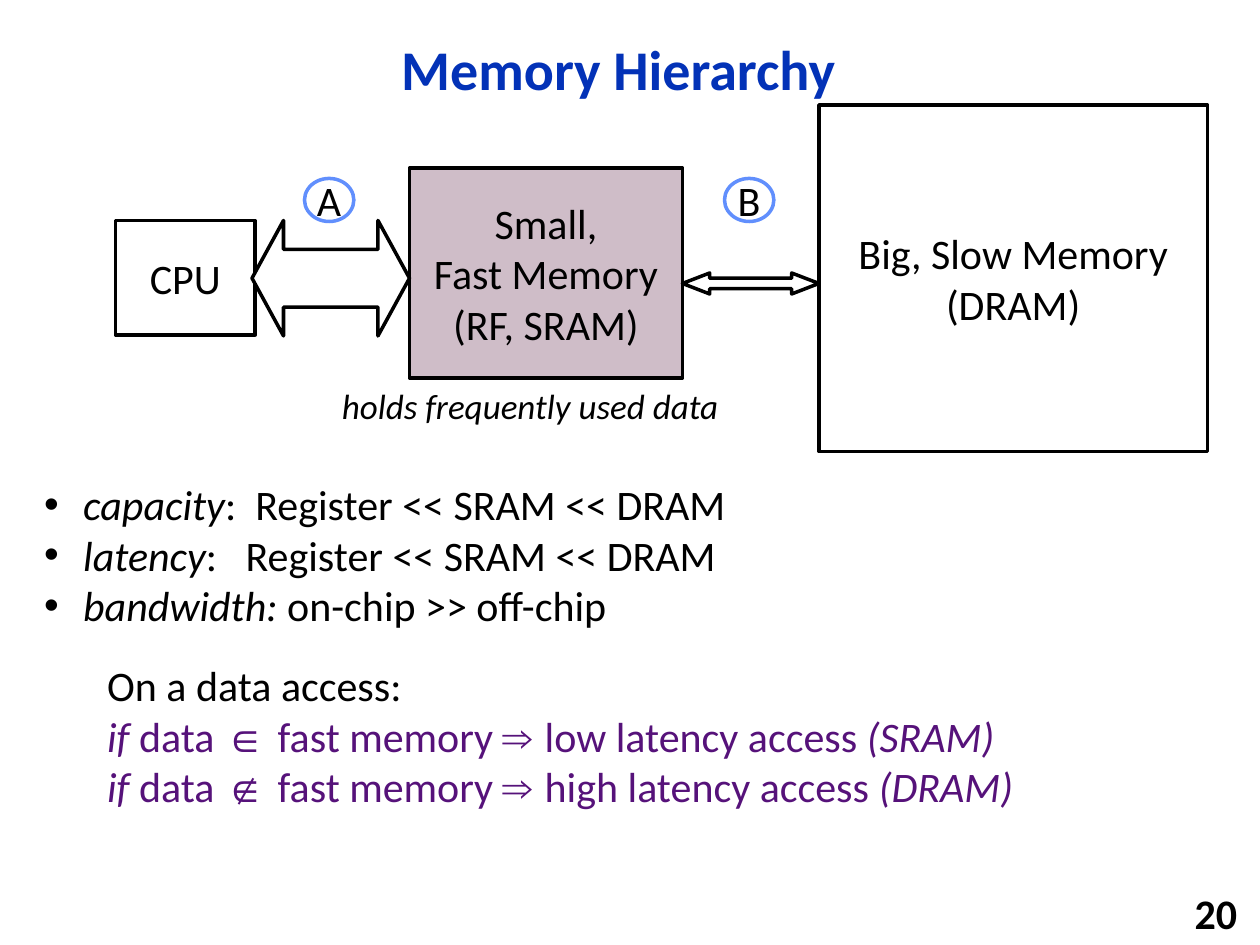
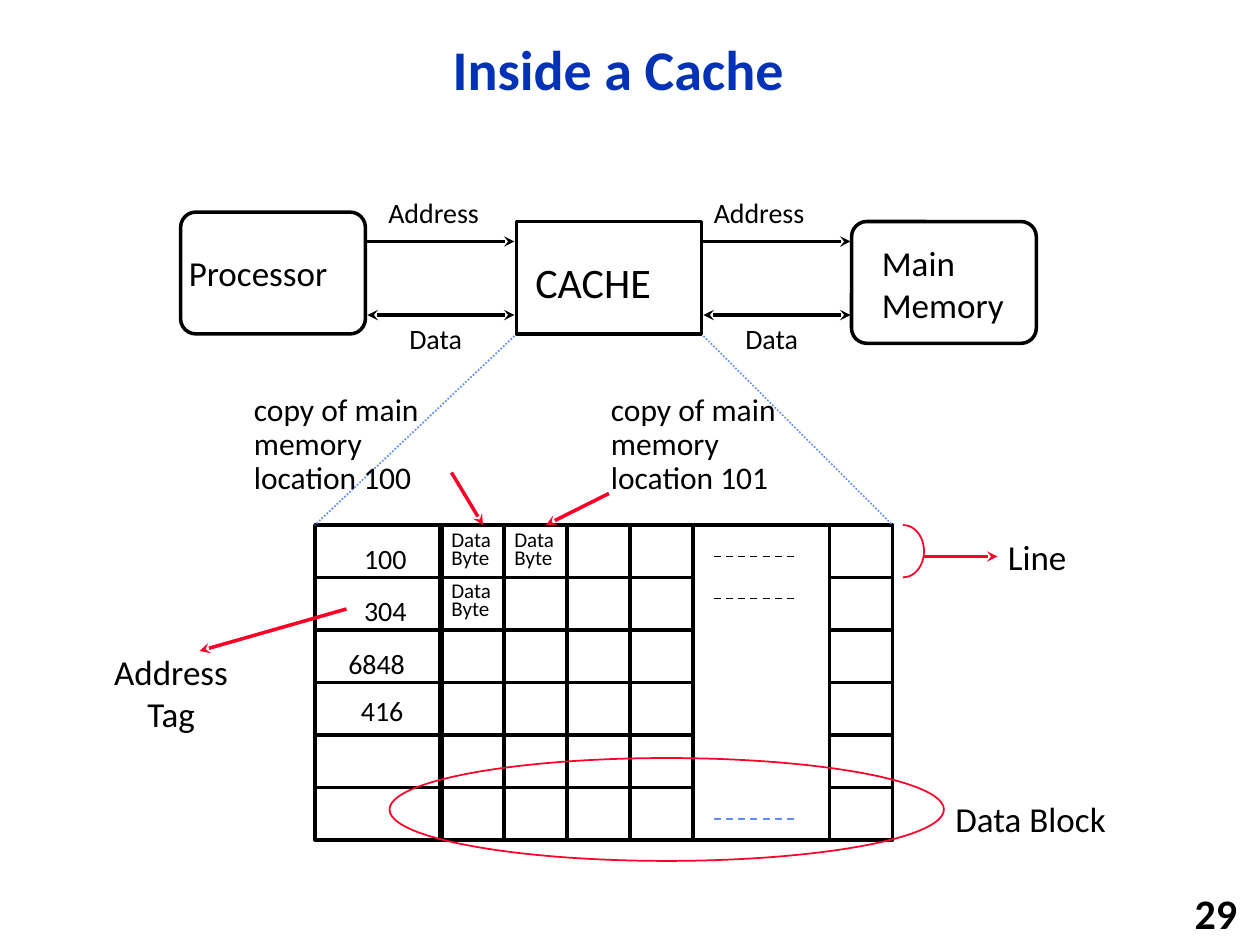
from lxml.etree import SubElement
from pptx import Presentation
from pptx.dml.color import RGBColor
from pptx.enum.dml import MSO_LINE as Dash
from pptx.enum.shapes import MSO_CONNECTOR as Link, MSO_SHAPE as Form
from pptx.enum.text import MSO_ANCHOR as Anchor, MSO_AUTO_SIZE as Fit, PP_ALIGN as Align
from pptx.oxml.ns import qn
from pptx.util import Inches, Pt

BLACK = RGBColor(0x00, 0x00, 0x00)
WHITE = RGBColor(0xFF, 0xFF, 0xFF)
TITLE_BLUE = RGBColor(0x03, 0x32, 0xB7)
LIGHT_BLUE = RGBColor(0x61, 0x8F, 0xFD)
MAUVE = RGBColor(0xCF, 0xBD, 0xC8)
PURPLE = RGBColor(0x56, 0x12, 0x7A)
RED = RGBColor(0xFC, 0x01, 0x28)
FONT = "Calibri"
SYMBOL_FONT = "Arial"

UNITS_PER_INCH = 12
PAGE_WIDTH, PAGE_HEIGHT = 120, 90
TITLE_AREA = (11, 2, 95.8, 9.7)
NUMBER_AREA = (94, 85, 25, 3.8)
BODY_AREA = (3, 45, 115, 33)

MEMORY_BOXES = [
    (Form.RECTANGLE, (39, 16, 26, 20), MAUVE, BLACK, "Small,\nFast Memory\n(RF, SRAM)", True),
    (Form.RECTANGLE, (11, 21, 13.3, 10.9), WHITE, BLACK, "CPU", False),
    (Form.RECTANGLE, (78, 10, 37, 33), WHITE, BLACK, "Big, Slow Memory\n(DRAM)", True),
    (Form.OVAL, (29, 17, 4.7, 4.1), WHITE, LIGHT_BLUE, "A", False),
    (Form.OVAL, (69, 17, 4.7, 4.1), WHITE, LIGHT_BLUE, "B", False),
]
BUS_ARROWS = [((65, 26, 13, 2), 1.3), ((24, 21, 15, 11), 0.273)]
PROPERTIES = [
    ("capacity", ":", 5.4, " Register << SRAM << DRAM"),
    ("latency", ":", 10.8, " Register << SRAM << DRAM"),
    ("bandwidth:", "", 0, " on-chip >> off-chip"),
]
ACCESS_INTRO = "On a data access:"
ACCESS_CASES = [("∈", "low", "(SRAM)"), ("∉", "high", "(DRAM)")]

UNIT_BOXES = [
    (Form.ROUNDED_RECTANGLE, (81.1, 21.1, 17.6, 11.6)),
    (Form.ROUNDED_RECTANGLE, (17.2, 20.2, 17.6, 11.6)),
    (Form.RECTANGLE, (49.2, 21.1, 17.6, 10.7)),
]
BUS_SPANS = [(35, 49), (67, 81)]
ADDRESS_Y, DATA_Y = 23, 30
POINTERS = [(33, 58, 19, 62), (43, 45, 46, 50), (58, 47, 52, 50), (88, 53, 95, 53)]
ZOOM_LINES = [(49, 32, 30, 50), (67, 32, 85, 50)]
GRID_LEFT, GRID_TOP, GRID_RIGHT = 30, 50, 85
ROW_HEIGHT, ROW_COUNT = 5, 6
GAP_LEFT, GAP_RIGHT = 66, 79
TAG_EDGE = 42
COLUMN_EDGES = [TAG_EDGE, 48, 54, 60, GAP_LEFT, GAP_RIGHT]
ELLIPSES = [(53, BLACK), (57, BLACK), (78, LIGHT_BLUE)]
BLOCK_OVAL = (37.1, 72.2, 52.8, 9.8)
LINE_ARC = (84, 50, 4, 5)

LABELS = [
    (24, 1, [("CACHE", 49.8, 23.8, 13.6)]),
    (20, 1, [
        ("Processor", 16.8, 23.4, 15.8),
        ("Main\nMemory", 82.8, 22.4, 14.3),
        ("Data Block", 89.8, 75.4, 16.9),
        ("Line", 94.8, 50.4, 8),
    ]),
    (18, 0.9, [
        ("copy of main\nmemory\nlocation 100", 23, 37, 18.4),
        ("copy of main\nmemory\nlocation 101", 57, 37, 18.4),
    ]),
    (16, 1, [
        ("Address", 35.8, 18, 11.2),
        ("Address", 66.8, 18, 11.2),
        ("Data", 37.8, 30, 7.6),
        ("Data", 69.8, 30, 7.6),
        ("100", 33.5, 51, 6.5),
        ("304", 33.5, 55.9, 6.5),
        ("6848", 32, 61, 7.9),
        ("416", 33.2, 65.5, 6.5),
    ]),
    (12, 0.7, [
        ("Data\nByte", 41.8, 50.2, 6.4),
        ("Data\nByte", 47.8, 50.2, 6.4),
        ("Data\nByte", 41.8, 55.1, 6.4),
    ]),
]
TAG_LABEL = ("Address\nTag", 9.7, 61.4, 13.2)


def units(*values):
    return [Inches(value / UNITS_PER_INCH) for value in values]


def add_span(para, text, size, color=BLACK, bold=False, italic=False, font=FONT, spacing=0):
    span = para.add_run()
    span.text = text
    span.font.name = font
    span.font.size = Pt(size)
    span.font.bold = bold
    span.font.italic = italic
    span.font.color.rgb = color
    if spacing:
        span._r.get_or_add_rPr().set("spc", str(round(spacing * 100)))


def add_lines(frame, text, size, align=Align.LEFT, spacing=1, **style):
    for index, line in enumerate(text.split("\n")):
        para = frame.add_paragraph() if index else frame.paragraphs[0]
        para.alignment = align
        para.line_spacing = spacing
        add_span(para, line, size, **style)


def place(shape, area):
    shape.left, shape.top, shape.width, shape.height = units(*area)


def add_text(page, area, text, size, wrap=False, anchor=Anchor.TOP, **style):
    frame = page.shapes.add_textbox(*units(*area)).text_frame
    frame.word_wrap = wrap
    frame.vertical_anchor = anchor
    add_lines(frame, text, size, **style)


def add_label(page, text, left, top, width, size, **style):
    lines = text.count("\n") + 1
    height = UNITS_PER_INCH * (0.1 + lines * size * 1.22 * style.get("spacing", 1) / 72)
    add_text(page, (left, top, width, height), text, size, **style)


def add_form(page, form, area, fill=WHITE, line=BLACK, weight=2):
    shape = page.shapes.add_shape(form, *units(*area))
    shape.shadow.inherit = False
    if fill is None:
        shape.fill.background()
    else:
        shape.fill.solid()
        shape.fill.fore_color.rgb = fill
    shape.line.color.rgb = line
    shape.line.width = Pt(weight)
    return shape


def add_line(page, ends, color=BLACK, weight=2, dash=None, heads=()):
    link = page.shapes.add_connector(Link.STRAIGHT, *units(*ends))
    link.line.color.rgb = color
    link.line.width = Pt(weight)
    if dash is not None:
        link.line.dash_style = dash
    properties = link._element.spPr
    for head in heads:
        SubElement(properties.find(qn("a:ln")), qn(head), type="stealth")
    SubElement(properties, qn("a:effectLst"))


def start_page(deck, layout, title, number):
    page = deck.slides.add_slide(deck.slide_layouts[layout])
    heading = page.shapes.title
    place(heading, TITLE_AREA)
    heading.text_frame.auto_size = Fit.NONE
    heading.text_frame.vertical_anchor = Anchor.MIDDLE
    add_lines(heading.text_frame, title, 32, Align.CENTER, 0.9, color=TITLE_BLUE, bold=True)
    add_text(page, NUMBER_AREA, number, 24, wrap=True, anchor=Anchor.MIDDLE,
             align=Align.RIGHT, bold=True)
    return page


def add_body_para(frame, first=False, bullet=False, before=0):
    para = frame.paragraphs[0] if first else frame.add_paragraph()
    properties = para._p.get_or_add_pPr()
    properties.set("marL", str(Inches(0.31 if bullet else 0.5)))
    properties.set("indent", str(Inches(-0.31 if bullet else 0)))
    if not bullet:
        SubElement(properties, qn("a:buNone"))
    para.space_before = Pt(before)
    return para


def fill_body(body):
    place(body, BODY_AREA)
    frame = body.text_frame
    frame.auto_size = Fit.NONE
    for index, (name, colon, spacing, values) in enumerate(PROPERTIES):
        para = add_body_para(frame, first=index == 0, bullet=True)
        add_span(para, name, 24, italic=True)
        if colon:
            add_span(para, colon, 24, spacing=spacing)
        add_span(para, values, 24)
    add_span(add_body_para(frame, before=17), ACCESS_INTRO, 24)
    for relation, speed, memory in ACCESS_CASES:
        para = add_body_para(frame)
        for text, font, italic in [
            ("if ", FONT, True),
            ("data ", FONT, False),
            (f"{relation} ", SYMBOL_FONT, False),
            ("fast memory ", FONT, False),
            ("⇒ ", SYMBOL_FONT, False),
            (f"{speed} latency access ", FONT, False),
            (memory, FONT, True),
        ]:
            add_span(para, text, 24, PURPLE, italic=italic, font=font)


def build_hierarchy(deck):
    page = start_page(deck, 1, "Memory Hierarchy", "20")
    fill_body(page.placeholders[1])
    for form, area, fill, line, text, wrap in MEMORY_BOXES:
        frame = add_form(page, form, area, fill, line).text_frame
        frame.word_wrap = wrap
        frame.vertical_anchor = Anchor.MIDDLE
        add_lines(frame, text, 24, Align.CENTER)
    add_text(page, (23, 36, 55, 5.2), "holds frequently used data", 20, wrap=True,
             align=Align.CENTER, italic=True)
    for area, head_length in BUS_ARROWS:
        arrow = add_form(page, Form.LEFT_RIGHT_ARROW, area)
        arrow.adjustments[0] = 0.5
        arrow.adjustments[1] = head_length


def add_cache_grid(page):
    bottom = GRID_TOP + ROW_COUNT * ROW_HEIGHT
    add_form(page, Form.RECTANGLE,
             (GRID_LEFT, GRID_TOP, GRID_RIGHT - GRID_LEFT, bottom - GRID_TOP), None)
    for row in range(1, ROW_COUNT):
        y = GRID_TOP + row * ROW_HEIGHT
        for left, right in [(GRID_LEFT, GAP_LEFT), (GAP_RIGHT, GRID_RIGHT)]:
            add_line(page, (left, y, right, y))
    for x in COLUMN_EDGES:
        add_line(page, (x, GRID_TOP, x, bottom), weight=4 if x == TAG_EDGE else 2)
    for y, color in ELLIPSES:
        add_line(page, (GAP_LEFT + 2, y, GAP_RIGHT - 3, y), color, 1, Dash.DASH)


def build_cache(deck):
    page = start_page(deck, 5, "Inside a Cache", "29")
    for form, area in UNIT_BOXES:
        box = add_form(page, form, area)
        if form == Form.ROUNDED_RECTANGLE:
            box.adjustments[0] = 0.125
    for left, right in BUS_SPANS:
        add_line(page, (left, ADDRESS_Y, right, ADDRESS_Y), heads=["a:tailEnd"])
        add_line(page, (left, DATA_Y, right, DATA_Y), heads=["a:headEnd", "a:tailEnd"])
    add_cache_grid(page)
    for ends in ZOOM_LINES:
        add_line(page, ends, LIGHT_BLUE, 1, Dash.ROUND_DOT)
    for ends in POINTERS:
        add_line(page, ends, RED, heads=["a:tailEnd"])
    add_form(page, Form.OVAL, BLOCK_OVAL, None, RED, 1)
    add_form(page, Form.ARC, LINE_ARC, None, RED, 1).adjustments[1] = 54
    for size, spacing, labels in LABELS:
        for label in labels:
            add_label(page, *label, size, spacing=spacing)
    add_label(page, *TAG_LABEL, 20, align=Align.CENTER)


def main():
    deck = Presentation()
    deck.slide_width, deck.slide_height = units(PAGE_WIDTH, PAGE_HEIGHT)
    build_hierarchy(deck)
    build_cache(deck)
    deck.save("out.pptx")


if __name__ == "__main__":
    main()
